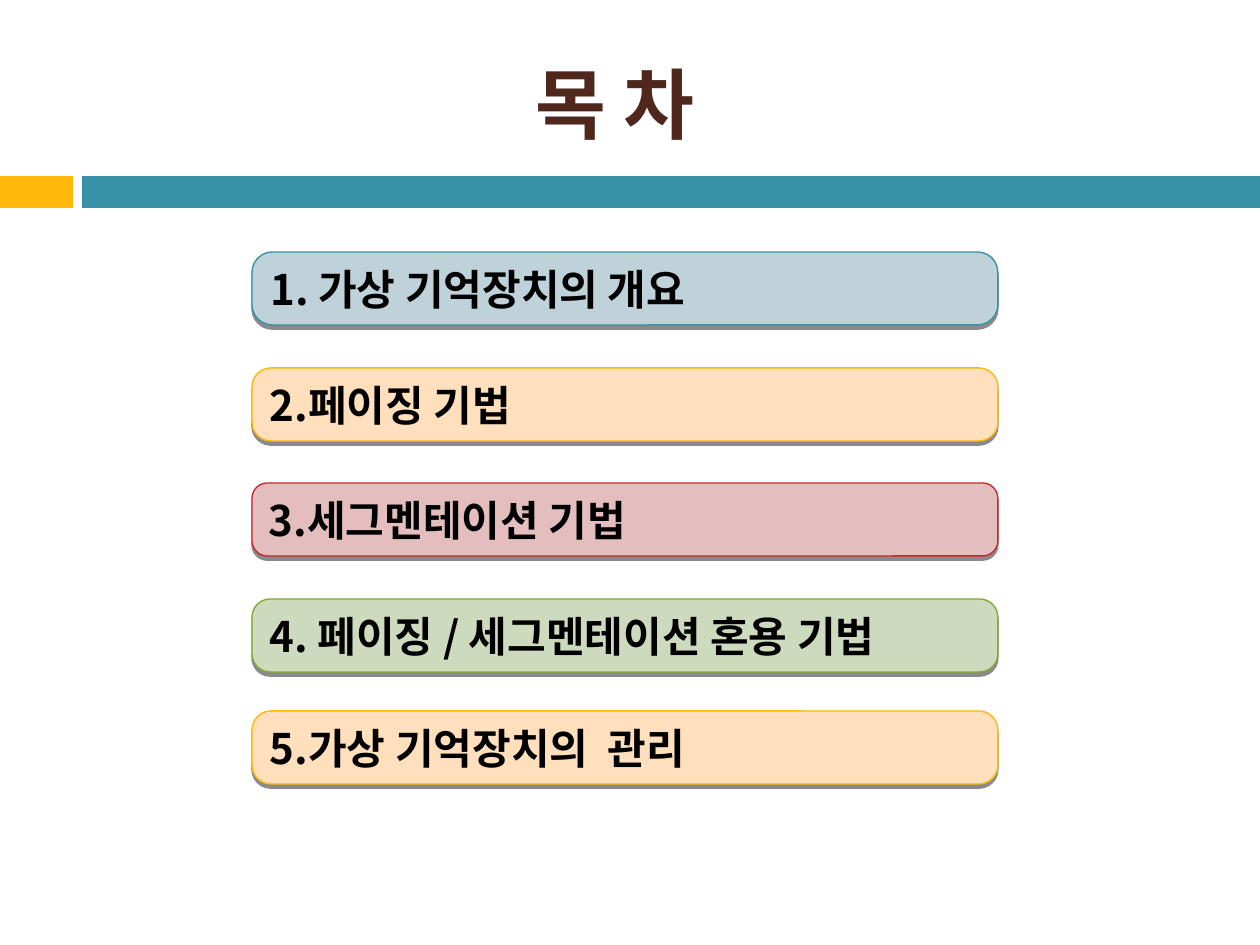
from lxml import etree
from pptx import Presentation, util as u
from pptx.dml.color import RGBColor
from pptx.enum import shapes, text
from pptx.oxml.ns import qn

FONT = "Noto Sans CJK KR"
BLACK = "000000"
SHAPE = shapes.MSO_SHAPE

# Label, top, corner, fill, line
ITEMS = [
    ("1. 가상 기억장치의 개요", 252, 0.28, "BFD2D9", "3891A7"),
    ("2.페이징 기법", 368, 0.26, "FFDFBC", "FEB80A"),
    ("3.세그멘테이션 기법", 483, 0.21, "E4BEBE", "C32D2E"),
    ("4. 페이징 / 세그멘테이션 혼용 기법", 599, 0.25, "CEDABE", "84AA33"),
    ("5.가상 기억장치의  관리", 711, 0.26, "FFDFBC", "FEB80A"),
]


def px(n):
    return u.Emu(round(n * 914400 / 126))


def paint(color, code):
    color.rgb = RGBColor.from_string(code)


def write(frame, words, size, code, align):
    frame.text = words
    frame.vertical_anchor = text.MSO_ANCHOR.MIDDLE
    para = frame.paragraphs[0]
    para.alignment = align
    run = para.runs[0]
    font = run.font
    font.name, font.size, font.bold = FONT, u.Pt(size), True
    paint(font.color, code)
    east = etree.SubElement(font._element, qn("a:ea"))
    east.set("typeface", FONT)


def block(slide, kind, box, fill):
    shape = slide.shapes.add_shape(kind, *map(px, box))
    shape.shadow.inherit = False
    shape.fill.solid()
    paint(shape.fill.fore_color, fill)
    shape.line.fill.background()
    return shape


def drop(shape):
    """Give the shape a crisp shadow straight below it."""
    effects = shape._element.spPr.find(qn("a:effectLst"))
    shade = etree.SubElement(effects, qn("a:outerShdw"), blurRad="0",
                             dist=str(u.Pt(2.4)), dir="5400000",
                             algn="ctr", rotWithShape="0")
    color = etree.SubElement(shade, qn("a:srgbClr"), val=BLACK)
    etree.SubElement(color, qn("a:alpha"), val="45000")


def band(slide, left, top, width, height):
    """Short accent bar, a gap, then a long bar."""
    short, gap = 73, 9
    start = short + gap
    block(slide, SHAPE.RECTANGLE, (left, top, short, height), "FEB80A")
    block(slide, SHAPE.RECTANGLE,
          (left + start, top, width - start, height), "3891A7")


def head(slide, left, top, width, height):
    title = slide.shapes.title
    title.left, title.top = px(left), px(top)
    title.width, title.height = px(width), px(height)
    write(title.text_frame, "목 차", 44, "4F271C", text.PP_ALIGN.CENTER)
    title.text_frame.auto_size = text.MSO_AUTO_SIZE.NONE


def entry(slide, box, words, corner, fill, line):
    shape = block(slide, SHAPE.ROUNDED_RECTANGLE, box, fill)
    shape.adjustments[0] = corner
    paint(shape.line.color, line)
    shape.line.width = u.Pt(0.79)
    drop(shape)
    write(shape.text_frame, words, 24, BLACK, text.PP_ALIGN.LEFT)
    shape.text_frame.word_wrap = False


def main():
    deck = Presentation()
    deck.slide_width, deck.slide_height = px(1260), px(945)
    slide = deck.slides.add_slide(deck.slide_layouts[5])

    # Heading
    band(slide, 0, 176, 1260, 32)
    head(slide, 53, 35, 1124, 136)

    # Contents
    for words, top, corner, fill, line in ITEMS:
        entry(slide, (252, top, 746, 73), words, corner, fill, line)

    deck.save("out.pptx")


if __name__ == "__main__":
    main()
